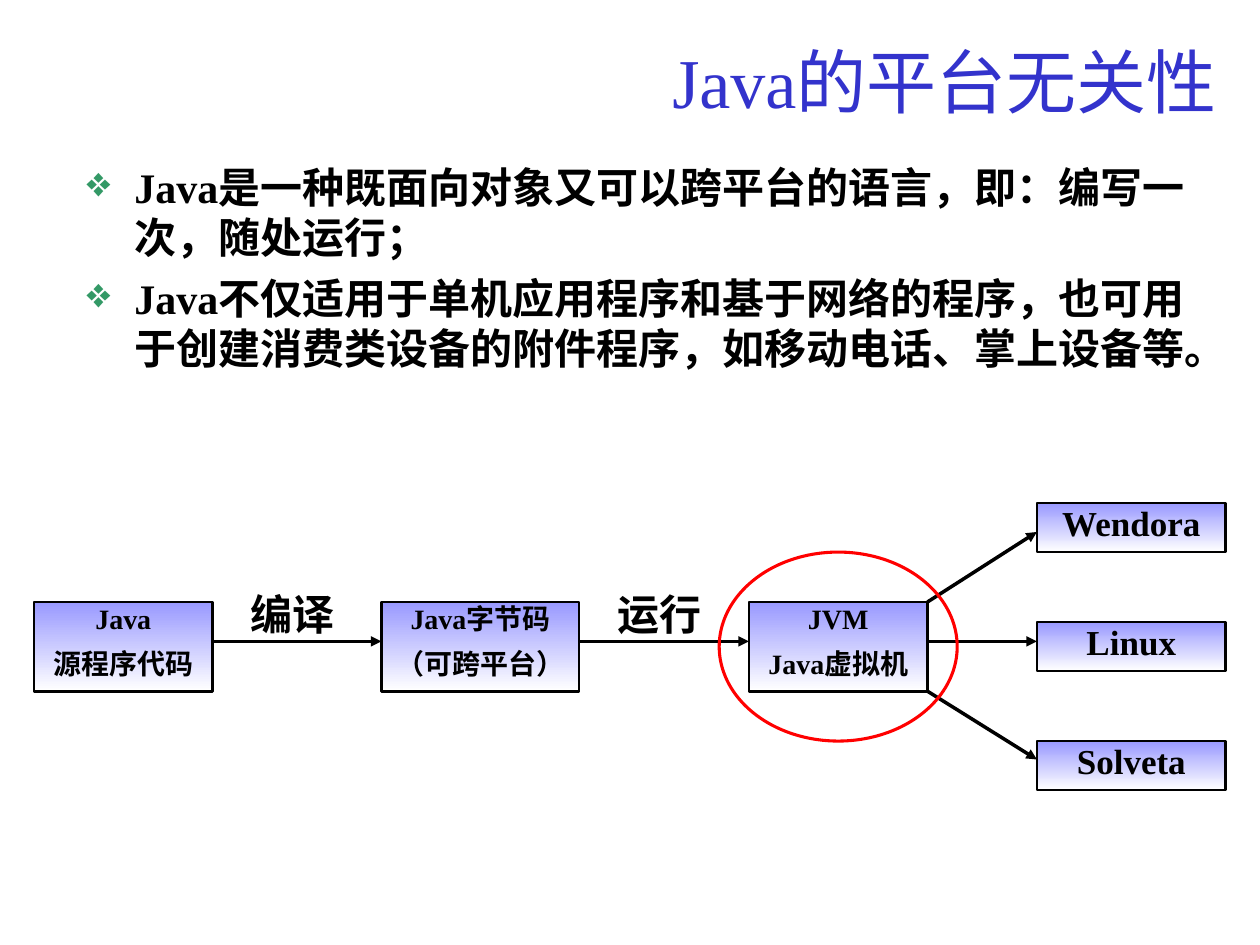
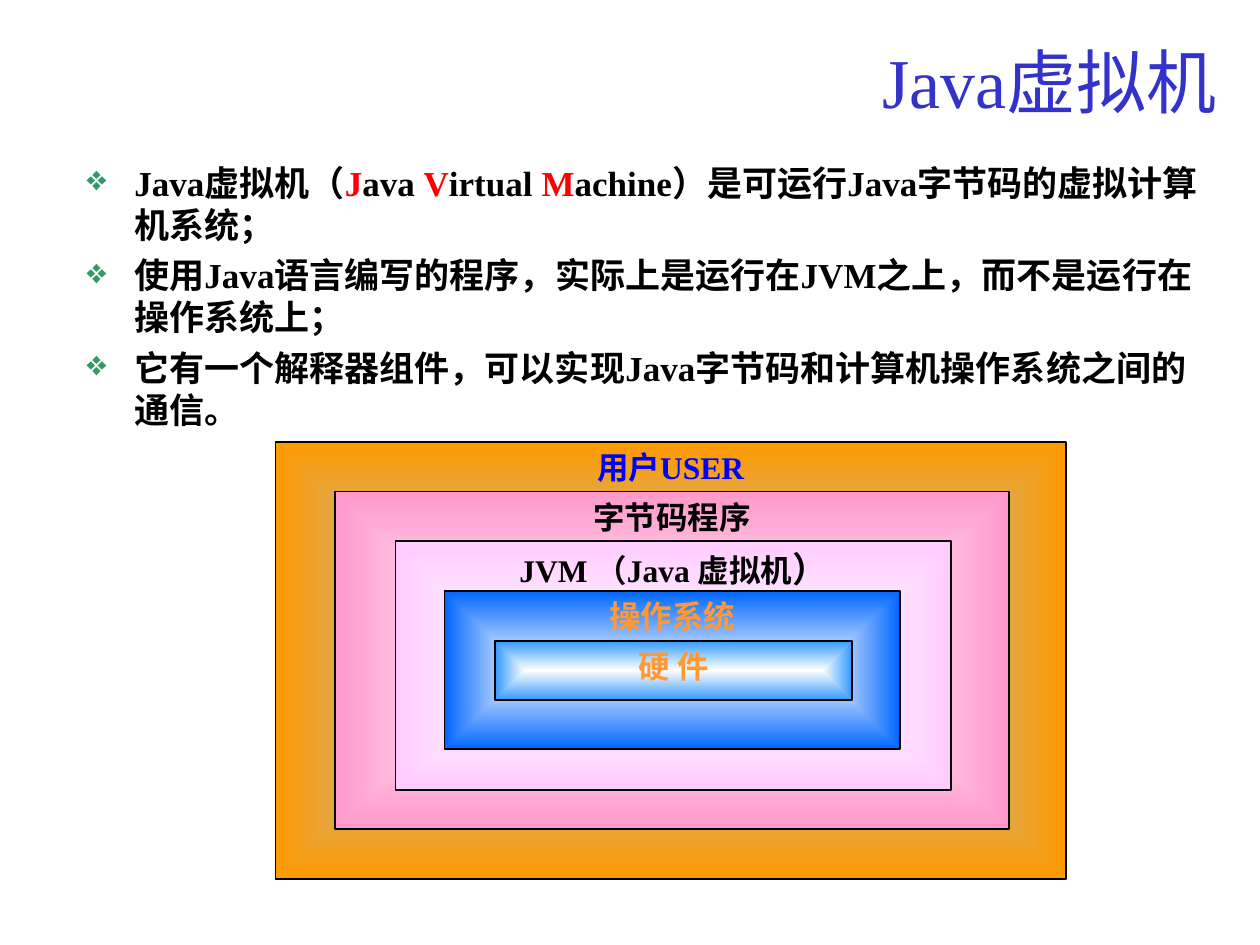
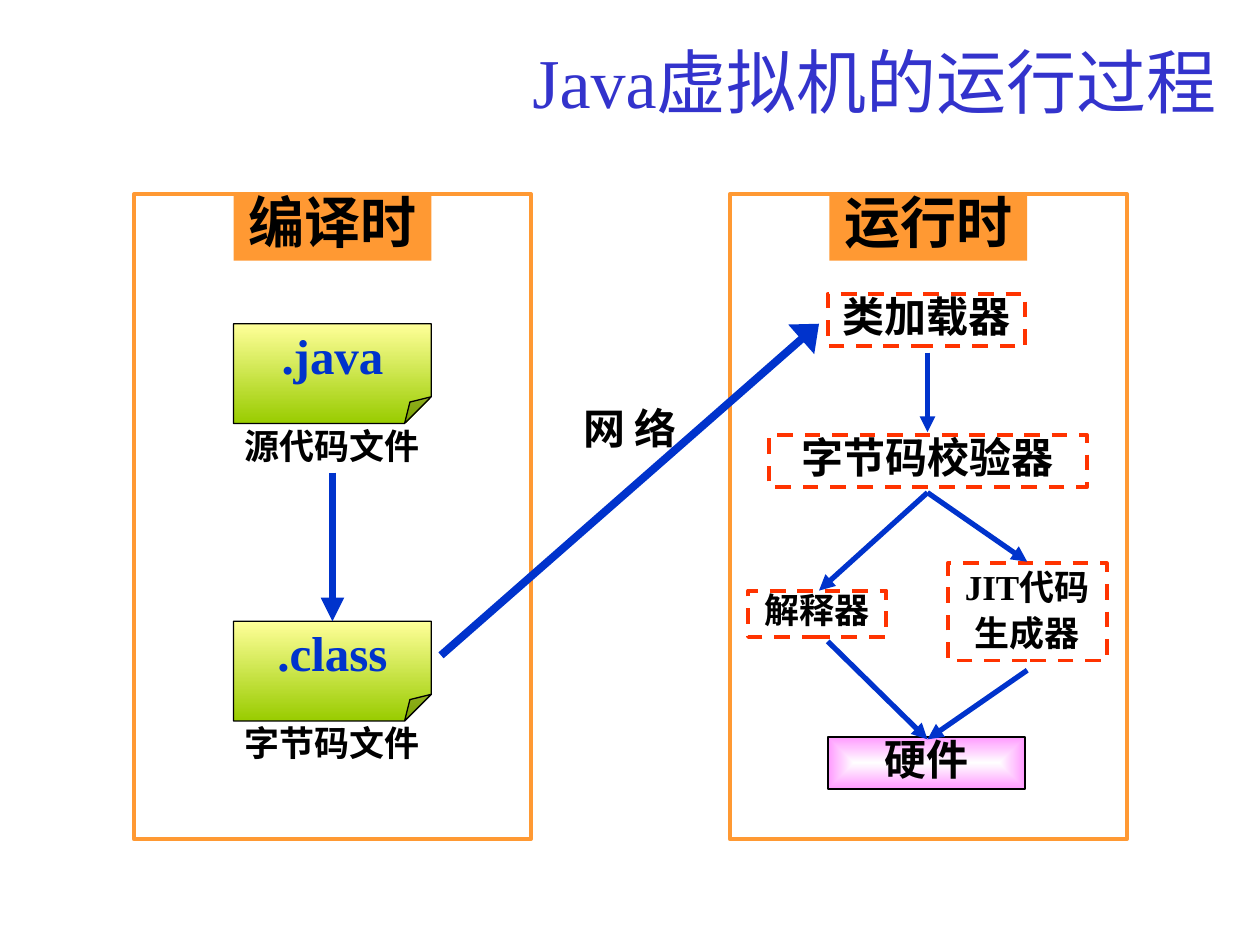
"""Build three slides on Java platform independence and the JVM."""
from lxml import etree
from pptx import Presentation
from pptx import util as u
from pptx.dml.color import RGBColor
from pptx.enum import dml, lang, shapes, text
from pptx.oxml import ns

FONT = "Times New Roman"
BLACK = RGBColor(0x00, 0x00, 0x00)
WHITE = RGBColor(0xFF, 0xFF, 0xFF)
RED = RGBColor(0xFF, 0x00, 0x00)
BLUE = RGBColor(0x00, 0x00, 0xFF)
TITLE_BLUE = RGBColor(0x33, 0x33, 0xCC)
ARROW_BLUE = RGBColor(0x00, 0x33, 0xCC)
BULLET_GREEN = RGBColor(0x33, 0x99, 0x66)
PERIWINKLE = RGBColor(0x99, 0x99, 0xFF)
ORANGE = RGBColor(0xFF, 0x99, 0x33)
DEEP_ORANGE = RGBColor(0xFF, 0x99, 0x00)
SKY = RGBColor(0x99, 0xCC, 0xFF)
ROSE = RGBColor(0xFF, 0x99, 0xCC)
PALE_PINK = RGBColor(0xFF, 0xCC, 0xFF)
PINK = RGBColor(0xFF, 0x99, 0xFF)
OS_BLUE = RGBColor(0x00, 0x66, 0xFF)
HARDWARE_BLUE = RGBColor(0x33, 0x99, 0xFF)
DASH_RED = RGBColor(0xFF, 0x33, 0x00)
PALE_YELLOW = RGBColor(0xFF, 0xFF, 0x99)
GREEN = RGBColor(0x99, 0xCC, 0x00)

RECT = shapes.MSO_SHAPE.RECTANGLE
TITLE_BOX = (42.5, 15, 659.5, 62.5)
BODY_BOX = (42.5, 88.5, 659.5, 408)
FLOW_BOX = (19.5, 287.5, 682, 165)
LAYERS_BOX = (157.5, 252.5, 451.5, 250)
COMPILE_BOX = (76.5, 111, 227, 368.5)
RUN_BOX = (417, 111, 227, 368.5)


def apply(target, values):
    """Set each named attribute of the target."""
    for name, value in values.items():
        setattr(target, name, value)


def add_xml(parent, tag, **attributes):
    """Append a drawing element to the parent and return it."""
    return etree.SubElement(parent, ns.qn(tag), attributes)


def within(box, left, top, width, height):
    """Move a relative place into the box."""
    return box[0] + left, box[1] + top, width, height


def add_bullet(para):
    """Give the paragraph a green bullet and a hanging indent."""
    props = para._p.get_or_add_pPr()
    for name, value in {"marL": 27.2, "indent": -27.2}.items():
        props.set(name, str(int(u.Pt(value))))
    add_xml(add_xml(props, "a:buClr"), "a:srgbClr", val=str(BULLET_GREEN))
    add_xml(props, "a:buChar", char="❖")


def write(shape, paras, size, color=BLACK, bold=True, align="CENTER", anchor="TOP",
          spacing=0.8, before=0, bullets=False, wrap=True):
    """Fill a shape with paragraphs, each a string or a list of (text, format) spans."""
    frame = shape.text_frame
    apply(frame, {"word_wrap": wrap, "vertical_anchor": getattr(text.MSO_ANCHOR, anchor)})
    for index, spans in enumerate(paras):
        para = frame.add_paragraph() if index else frame.paragraphs[0]
        if bullets:
            add_bullet(para)
        apply(para, {"alignment": getattr(text.PP_ALIGN, align), "line_spacing": spacing})
        if index:
            para.space_before = u.Pt(before)
        for words, extra in [(spans, {})] if isinstance(spans, str) else spans:
            span = para.add_run()
            span.text = words
            apply(span.font, {"name": FONT, "size": u.Pt(extra.get("size", size)), "bold": bold,
                              "language_id": lang.MSO_LANGUAGE_ID.SIMPLIFIED_CHINESE})
            span.font.color.rgb = extra.get("color", color)


def add_text(page, place, paras, size, **formats):
    """Add a plain text box."""
    box = page.shapes.add_textbox(*map(u.Pt, place))
    write(box, paras, size, **formats)


def paint(fill, colors):
    """Apply no fill, one colour, or a gradient of two colours."""
    if not colors:
        fill.background()
    elif len(colors) == 1:
        fill.solid()
        fill.fore_color.rgb = colors[0]
    else:
        fill.gradient()
        fill.gradient_angle = 270
        for stop, color in zip(fill.gradient_stops, colors):
            stop.color.rgb = color


def add_box(page, place, colors=(), line=None, width=1, dash=False, radial=False, kind=RECT):
    """Add a preset shape with its fill and outline."""
    shape = page.shapes.add_shape(kind, *map(u.Pt, place))
    shape.shadow.inherit = False
    paint(shape.fill, colors)
    if radial:
        gradient = shape._element.spPr.find(ns.qn("a:gradFill"))
        gradient.remove(gradient.find(ns.qn("a:lin")))
        centre = dict.fromkeys("ltrb", "50000")
        add_xml(add_xml(gradient, "a:path", path="rect"), "a:fillToRect", **centre)
    if line is None:
        shape.line.fill.background()
    else:
        shape.line.color.rgb = line
        shape.line.width = u.Pt(width)
    if dash:
        shape.line.dash_style = dml.MSO_LINE.DASH
    return shape


def add_arrow(page, box, start, end, color, width, head="med"):
    """Draw an arrow between two points relative to the box."""
    points = [u.Pt(box[i] + point[i]) for point in (start, end) for i in (0, 1)]
    arrow = page.shapes.add_connector(shapes.MSO_CONNECTOR.STRAIGHT, *points)
    arrow.line.color.rgb = color
    arrow.line.width = u.Pt(width)
    props = arrow._element.spPr
    add_xml(props.find(ns.qn("a:ln")), "a:tailEnd", type="triangle", w=head, len="med")
    add_xml(props, "a:effectLst")


def add_page(deck, title):
    """Add a blank page with the shared title style."""
    page = deck.slides.add_slide(deck.slide_layouts[6])
    add_text(page, TITLE_BOX, [title], 40, color=TITLE_BLUE, bold=False, align="RIGHT",
             anchor="MIDDLE", spacing=1.0)
    return page


def add_body(page, box, paras, size):
    """Add the bulleted body text."""
    add_text(page, box, paras, size, align="LEFT", spacing=1.0, before=size / 4, bullets=True)


def add_flow(page, box):
    """Draw the path from source code to the operating systems."""
    style = {"colors": (PERIWINKLE, WHITE), "line": BLACK, "width": 1.5}
    steps = [(0, 102, ["Java", "源程序代码"]),
             (198.5, 113, ["Java字节码", "（可跨平台）"]),
             (408.5, 102, ["JVM", "Java虚拟机"])]
    step_top, step_height, arrow_y = 56.5, 51, 79
    system_left = 573
    for left, width, paras in steps:
        shape = add_box(page, within(box, left, step_top, width, step_height), **style)
        write(shape, paras, 16, before=10)
    for (left, width, _), (following, _, _), label in zip(steps, steps[1:], ["编译", "运行"]):
        add_arrow(page, box, (left + width, arrow_y), (following, arrow_y), BLACK, 2)
        middle = (left + width + following) / 2
        add_text(page, within(box, middle - 36.5, 51, 67.5, 30), [label], 24)
    jvm_right = steps[-1][0] + steps[-1][1]
    departures = [step_top, arrow_y, step_top + step_height]
    arrivals = [16.5, arrow_y, 146.5]
    for index, name in enumerate(["Wendora", "Linux", "Solveta"]):
        shape = add_box(page, within(box, system_left, 68 * index, 108, 28), **style)
        write(shape, [name], 20)
        add_arrow(page, box, (jvm_right, departures[index]), (system_left, arrivals[index]),
                  BLACK, 2)
    add_box(page, within(box, 391.5, 28, 136, 108), line=RED, width=1.75,
            kind=shapes.MSO_SHAPE.OVAL)


def add_layers(page, box):
    """Draw the nested layers from user to hardware."""
    jvm = [("JVM （Java 虚拟机", {}), ("）", {"size": 20})]
    layers = [(0, 451.5, 250, SKY, DEEP_ORANGE, BLUE, "用户USER"),
              (34, 385, 193, WHITE, ROSE, BLACK, "字节码程序"),
              (68.5, 317.5, 142, WHITE, PALE_PINK, BLACK, jvm),
              (96.5, 260.5, 90.5, WHITE, OS_BLUE, ORANGE, "操作系统"),
              (125.5, 204, 34, WHITE, HARDWARE_BLUE, ORANGE, "硬 件")]
    for index, (left, width, height, centre, edge, color, label) in enumerate(layers):
        shape = add_box(page, within(box, left, 28.4 * index, width, height),
                        colors=(centre, edge), line=BLACK, radial=True)
        write(shape, [label], 18, color=color, spacing=1.0)


def add_panel(page, box, name):
    """Draw a framed phase with its name on a tab."""
    add_box(page, box, line=ORANGE, width=2.25)
    write(add_box(page, within(box, 57, 0, 113, 38), colors=(ORANGE,)), [name], 32)


def add_sheet(page, place, name):
    """Draw a file as a sheet with a folded corner."""
    sheet = add_box(page, place, colors=(PALE_YELLOW, GREEN), line=BLACK, width=0.75,
                    kind=shapes.MSO_SHAPE.FOLDED_CORNER)
    geometry = sheet._element.spPr.find(ns.qn("a:prstGeom"))
    add_xml(geometry.find(ns.qn("a:avLst")), "a:gd", name="adj", fmla="val 26800")
    write(sheet, [name], 28, color=ARROW_BLUE, anchor="MIDDLE", wrap=False)


def add_compile_phase(page, box):
    """Draw the compile phase with its two files."""
    add_panel(page, box, "编译时")
    for top, name, caption in [(74, ".java", "源代码文件"), (244, ".class", "字节码文件")]:
        add_sheet(page, within(box, 57, top, 113, 57), name)
        add_text(page, within(box, 51, top + 58.5, 124.5, 26.5), [caption], 20)
    add_arrow(page, box, (113.5, 159), (113.5, 244), ARROW_BLUE, 4.5)


def add_run_phase(page, box):
    """Draw the run phase from class loader to hardware."""
    add_panel(page, box, "运行时")
    hardware = add_box(page, within(box, 56, 310, 113, 30), colors=(WHITE, PINK), line=BLACK,
                       radial=True)
    write(hardware, ["硬件"], 24)
    parts = [((56, 57, 113, 30), ["类加载器"], 24, {}),
             ((22.5, 137.5, 181.5, 30), ["字节码校验器"], 24, {}),
             ((10.5, 226.5, 79, 26.5), ["解释器"], 20, {}),
             ((124.5, 211, 91, 55.5), ["JIT代码", "生成器"], 20,
              {"anchor": "MIDDLE", "spacing": 0.9, "before": 5})]
    for place, paras, size, formats in parts:
        shape = add_box(page, within(box, *place), line=DASH_RED, width=2.25, dash=True)
        write(shape, paras, size, **formats)
    for start, end in [((113, 90.5), (113, 136)), ((113, 170.5), (51, 226.5)),
                       ((113, 170.5), (170, 210)), ((56, 255.5), (113, 311.5)),
                       ((170, 272), (113, 311.5))]:
        add_arrow(page, box, start, end, ARROW_BLUE, 3)


def add_network(page, box):
    """Draw the network link from the compile panel to the class loader."""
    add_text(page, within(box, 244, 121, 79, 30), ["网 络"], 24)
    add_arrow(page, box, (175.5, 263.5), (391.5, 74), ARROW_BLUE, 4.5, head="lg")


def main():
    """Build and save the deck."""
    deck = Presentation()
    apply(deck, {"slide_width": u.Pt(720), "slide_height": u.Pt(540)})

    page = add_page(deck, "Java的平台无关性")
    add_body(page, BODY_BOX, [
        "Java是一种既面向对象又可以跨平台的语言，即：编写一次，随处运行；",
        "Java不仅适用于单机应用程序和基于网络的程序，也可用于创建消费类设备的附件程序，"
        "如移动电话、掌上设备等。"], 24)
    add_flow(page, FLOW_BOX)

    page = add_page(deck, "Java虚拟机")
    red = {"color": RED}
    add_body(page, BODY_BOX, [
        [("Java虚拟机（", {}), ("J", red), ("ava ", {}), ("V", red), ("irtual ", {}),
         ("M", red), ("achine）是可运行Java字节码的虚拟计算机系统；", {})],
        "使用Java语言编写的程序，实际上是运行在JVM之上，而不是运行在操作系统上；",
        "它有一个解释器组件，可以实现Java字节码和计算机操作系统之间的通信。"], 20)
    add_layers(page, LAYERS_BOX)

    page = add_page(deck, "Java虚拟机的运行过程")
    add_compile_phase(page, COMPILE_BOX)
    add_run_phase(page, RUN_BOX)
    add_network(page, COMPILE_BOX)

    deck.save("out.pptx")


if __name__ == "__main__":
    main()
